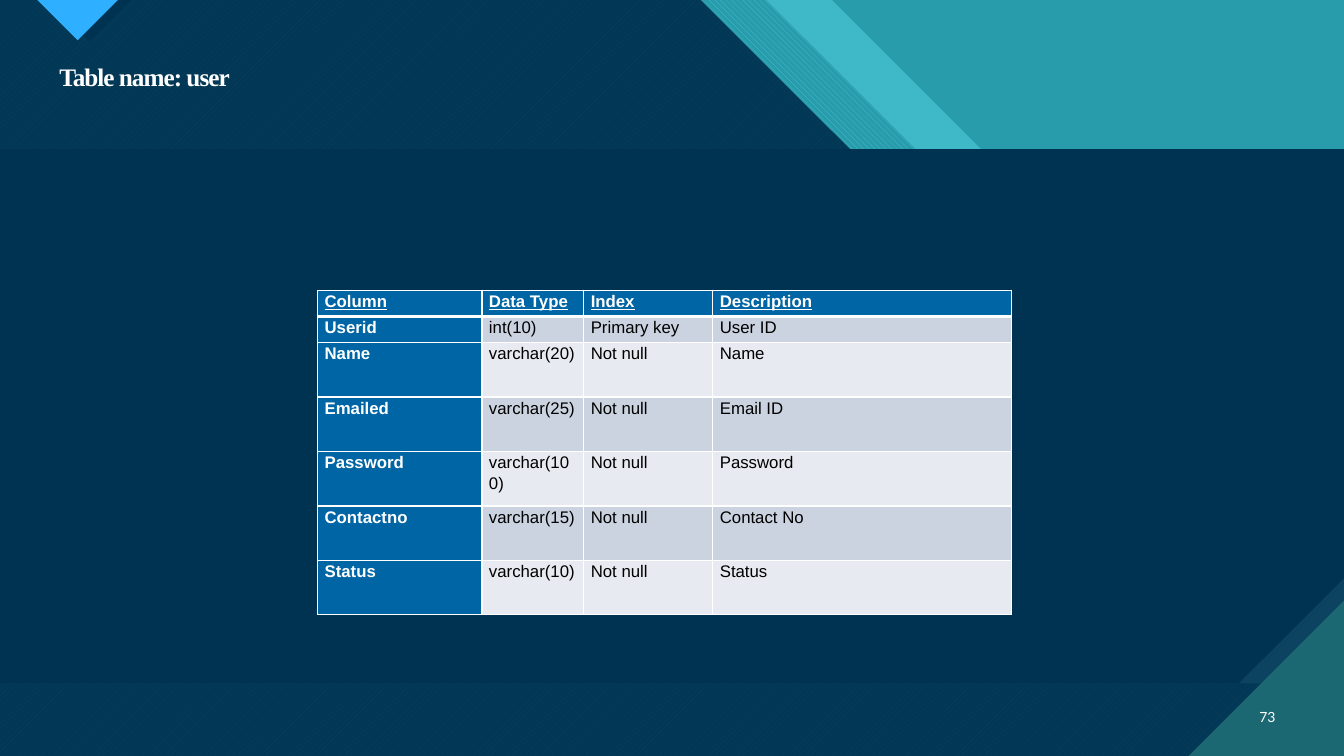
import pptx
import pptx.util
import pptx.dml.color
import pptx.enum.dml
import pptx.enum.shapes
import pptx.enum.text
import pptx.oxml.ns
import lxml.etree

Inches = pptx.util.Inches
Pt = pptx.util.Pt
RGBColor = pptx.dml.color.RGBColor
PATTERN = pptx.enum.dml.MSO_PATTERN
SHAPE = pptx.enum.shapes.MSO_SHAPE
ALIGN = pptx.enum.text.PP_ALIGN
ANCHOR = pptx.enum.text.MSO_ANCHOR
qn = pptx.oxml.ns.qn

NAVY = RGBColor(0x00, 0x33, 0x52)
SLATE = RGBColor(0x0C, 0x43, 0x60)
TEAL = RGBColor(0x29, 0x9C, 0xAB)
AQUA = RGBColor(0x47, 0xC3, 0xD3)
DEEP_TEAL = RGBColor(0x1B, 0x68, 0x72)
SKY = RGBColor(0x2F, 0xAF, 0xFF)
BLUE = RGBColor(0x00, 0x65, 0xA4)
ROW_DARK = RGBColor(0xCC, 0xD3, 0xE0)
ROW_LIGHT = RGBColor(0xE7, 0xEA, 0xF0)
WHITE = RGBColor(0xFF, 0xFF, 0xFF)
BLACK = RGBColor(0x00, 0x00, 0x00)

WIDTH, HEIGHT = 13.33, 7.5
COLUMN_WIDTHS = [1.63, 1.01, 1.28, 2.96]
ROW_HEIGHTS = [0.26] * 2 + [0.54] * 5
USER_COLUMNS = [
    ("Column", "Data Type", "Index", "Description"),
    ("Userid", "int(10)", "Primary key", "User ID"),
    ("Name", "varchar(20)", "Not null", "Name"),
    ("Emailed", "varchar(25)", "Not null", "Email ID"),
    ("Password", "varchar(100)", "Not null", "Password"),
    ("Contactno", "varchar(15)", "Not null", "Contact No"),
    ("Status", "varchar(10)", "Not null", "Status"),
]


def paint(sp, color, alpha=None):
    sp.shadow.inherit = False
    sp.line.fill.background()
    sp.fill.solid()
    sp.fill.fore_color.rgb = color
    if alpha:
        srgb = sp.fill._xPr.find(qn("a:solidFill"))[0]
        lxml.etree.SubElement(srgb, qn("a:alpha")).set("val", str(alpha * 1000))


def paint_pattern(sp, pattern, fore, back):
    sp.shadow.inherit = False
    sp.line.fill.background()
    sp.fill.patterned()
    sp.fill.pattern = pattern
    sp.fill.fore_color.rgb = fore
    sp.fill.back_color.rgb = back


def add_polygon(s, points):
    corners = [(Inches(x), Inches(y)) for x, y in points]
    builder = s.shapes.build_freeform(*corners[0])
    builder.add_line_segments(corners[1:], close=True)
    return builder.convert_to_shape()


def add_layer(s, top_x, right_y, step=2.97):
    return add_polygon(s, [
        (0, 0), (top_x, 0), (top_x + step, step),
        (WIDTH - right_y + step, step), (WIDTH, right_y),
        (WIDTH, HEIGHT), (0, HEIGHT)])


def add_run(p, text, size, font, color, bold=False):
    r = p.add_run()
    r.text = text
    r.font.size = Pt(size)
    r.font.name = font
    r.font.color.rgb = color
    r.font.bold = bold
    return r


def add_backdrop(s):
    s.background.fill.solid()
    s.background.fill.fore_color.rgb = TEAL
    paint(add_layer(s, 8.25, 3.96), AQUA, 74)
    paint_pattern(add_layer(s, 7.6, 4.47), PATTERN.WIDE_DOWNWARD_DIAGONAL, AQUA, TEAL)
    paint_pattern(add_layer(s, 6.95, 5.12), PATTERN.WIDE_UPWARD_DIAGONAL, AQUA, DEEP_TEAL)
    paint(add_layer(s, 6.95, 5.12), NAVY, 90)


def add_marker(s, left, half, color):
    paint(add_polygon(s, [(left, 0), (left + 2 * half, 0), (left + half, half)]), color)


def add_panel(s, left, top, width, height):
    box = [Inches(v) for v in (left, top, width, height)]
    paint(s.shapes.add_shape(SHAPE.RECTANGLE, *box), SLATE)
    sp = s.shapes.add_shape(SHAPE.SNIP_1_RECTANGLE, *box)
    sp.adjustments[0] = 0.197
    sp._element.spPr.find(qn("a:xfrm")).set("flipV", "1")
    paint(sp, NAVY)


def add_corner(s, size):
    paint(add_polygon(s, [(WIDTH - size, HEIGHT), (WIDTH, HEIGHT),
                          (WIDTH, HEIGHT - size)]), DEEP_TEAL)


def add_title(s, left, top, width, height):
    tf = s.shapes.add_textbox(*[Inches(v) for v in (left, top, width, height)]).text_frame
    tf.word_wrap = True
    p = tf.paragraphs[0]
    p.line_spacing = 0.9
    r = add_run(p, "Table name: user", 18, "Times New Roman", WHITE, True)
    r._r.get_or_add_rPr().set("spc", "-70")


def add_page_number(s, left, top, width, height):
    tf = s.shapes.add_textbox(*[Inches(v) for v in (left, top, width, height)]).text_frame
    tf.word_wrap = True
    tf.vertical_anchor = ANCHOR.MIDDLE
    p = tf.paragraphs[0]
    p.alignment = ALIGN.RIGHT
    add_run(p, "73", 10, "Lato", WHITE)


def set_borders(cell, row):
    tcPr = cell._tc.get_or_add_tcPr()
    heavy = {0: "lnB", 1: "lnT"}.get(row)
    for side in ("lnL", "lnR", "lnT", "lnB"):
        ln = lxml.etree.SubElement(tcPr, qn("a:" + side))
        ln.set("w", str(Pt(3 if side == heavy else 1)))
        fill = lxml.etree.SubElement(ln, qn("a:solidFill"))
        lxml.etree.SubElement(fill, qn("a:srgbClr")).set("val", str(WHITE))


def fill_cell(cell, text, row, col):
    set_borders(cell, row)
    header = row == 0
    strong = header or col == 0
    cell.fill.solid()
    cell.fill.fore_color.rgb = BLUE if strong else ROW_DARK if row % 2 else ROW_LIGHT
    cell.margin_left = cell.margin_right = Inches(0.07)
    cell.margin_top = cell.margin_bottom = 0
    p = cell.text_frame.paragraphs[0]
    p.alignment = ALIGN.JUSTIFY
    p.line_spacing = 1.1
    r = add_run(p, text, 12, "Arial", WHITE if strong else BLACK, strong)
    r.font.underline = header


def add_user_table(s, left, top):
    table = s.shapes.add_table(
        len(ROW_HEIGHTS), len(COLUMN_WIDTHS), Inches(left), Inches(top),
        Inches(sum(COLUMN_WIDTHS)), Inches(sum(ROW_HEIGHTS))).table
    for column, width in zip(table.columns, COLUMN_WIDTHS):
        column.width = Inches(width)
    for row, height in zip(table.rows, ROW_HEIGHTS):
        row.height = Inches(height)
    for i, texts in enumerate(USER_COLUMNS):
        for j, text in enumerate(texts):
            fill_cell(table.cell(i, j), text, i, j)


def main():
    prs = pptx.Presentation()
    prs.slide_width, prs.slide_height = Inches(WIDTH), Inches(HEIGHT)
    s = prs.slides.add_slide(prs.slide_layouts[6])
    add_backdrop(s)
    add_marker(s, 0.48, 0.41, NAVY)
    add_marker(s, 0.37, 0.4, SKY)
    add_panel(s, 0, 1.48, WIDTH, 5.3)
    add_corner(s, 1.54)
    add_title(s, 0.49, 0.59, 12.26, 0.86)
    add_page_number(s, 12.31, 6.91, 0.44, 0.4)
    add_user_table(s, 3.15, 2.88)
    prs.save("out.pptx")


if __name__ == "__main__":
    main()
